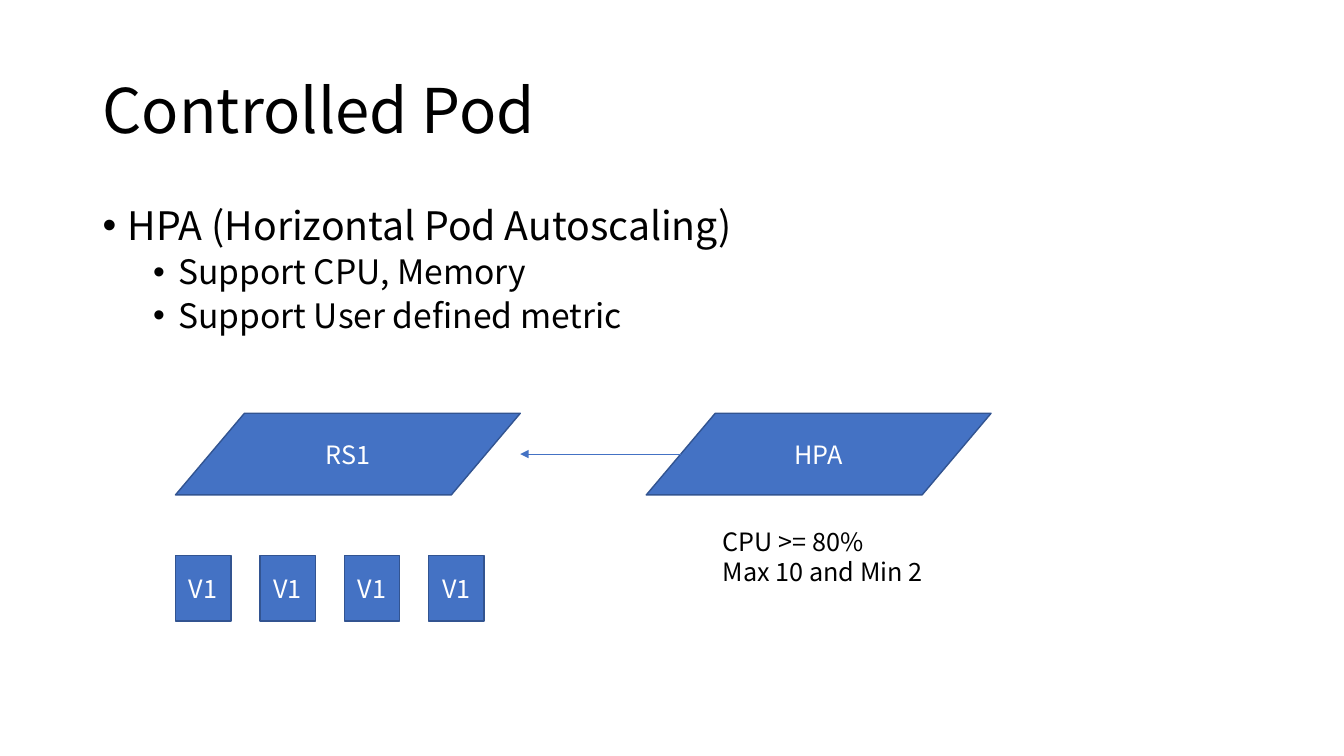
"""Build the Controlled Pod slide about horizontal pod autoscaling."""
import lxml.etree
import pptx
import pptx.dml.color
import pptx.enum.shapes
import pptx.enum.text
import pptx.oxml.ns
import pptx.util

Inches = pptx.util.Inches
Points = pptx.util.Pt
qualify = pptx.oxml.ns.qn
Kind = pptx.enum.shapes.MSO_SHAPE
Anchor = pptx.enum.text.MSO_ANCHOR
Align = pptx.enum.text.PP_ALIGN

BLACK = pptx.dml.color.RGBColor(0x00, 0x00, 0x00)
WHITE = pptx.dml.color.RGBColor(0xFF, 0xFF, 0xFF)
BLUE = pptx.dml.color.RGBColor(0x44, 0x72, 0xC4)
DARK_BLUE = pptx.dml.color.RGBColor(0x32, 0x54, 0x91)
FONT = "Noto Sans CJK SC"

MARGIN, CONTENT_WIDTH = 0.92, 11.5
DIAGRAM_LEFT, DIAGRAM_TOP = 1.74, 4.1
CONTROLLER_WIDTH, CONTROLLER_HEIGHT, CONTROLLER_STEP = 3.42, 0.81, 4.67
POD_TOP, POD_WIDTH, POD_HEIGHT, POD_STEP = 5.51, 0.55, 0.65, 0.837


def write(text, *, box, kind=None, size=18, color=BLACK, anchor=Anchor.TOP,
          align=Align.LEFT, spacing=1.0, levels=None):
    """Place text in a text box or a filled shape, with bullets if levels are given."""
    frame = [Inches(length) for length in box]
    if kind is None:
        shape = slide.shapes.add_textbox(*frame)
    else:
        shape = slide.shapes.add_shape(kind, *frame)
        shape.shadow.inherit = False
        shape.fill.solid()
        shape.fill.fore_color.rgb = BLUE
        shape.line.color.rgb = DARK_BLUE
        shape.line.width = Points(1)
    shape.text_frame.word_wrap = True
    shape.text_frame.vertical_anchor = anchor
    shape.text_frame.text = text
    for index, paragraph in enumerate(shape.text_frame.paragraphs):
        paragraph.alignment = align
        paragraph.line_spacing = spacing
        font = paragraph.runs[0].font
        font.name, font.size, font.color.rgb = FONT, Points(size), color
        if levels:
            level = levels[index]
            paragraph.level = level
            paragraph.space_before = Points(5 if level else 10)
            font.size = Points(size - 4 * level)
            properties = paragraph._p.get_or_add_pPr()
            properties.set("marL", str(Inches(0.25 + 0.5 * level)))
            properties.set("indent", str(Inches(-0.25)))
            bullet_font = lxml.etree.SubElement(properties, qualify("a:buFont"))
            bullet_font.set("typeface", "Arial")
            bullet = lxml.etree.SubElement(properties, qualify("a:buChar"))
            bullet.set("char", "•")
    return shape


presentation = pptx.Presentation()
presentation.slide_width = Inches(13.33)
presentation.slide_height = Inches(7.5)
slide = presentation.slides.add_slide(presentation.slide_layouts[6])

write("Controlled Pod", box=(MARGIN, 0.4, CONTENT_WIDTH, 1.45), size=44,
      anchor=Anchor.MIDDLE, spacing=0.9)
write("HPA (Horizontal Pod Autoscaling)\nSupport CPU, Memory\nSupport User defined metric",
      box=(MARGIN, 2, CONTENT_WIDTH, 4.76), size=28, spacing=0.9, levels=(0, 1, 1))

for column, name in enumerate(("RS1", "HPA")):
    write(name, kind=Kind.FLOWCHART_DATA, color=WHITE, anchor=Anchor.MIDDLE, align=Align.CENTER,
          box=(DIAGRAM_LEFT + column * CONTROLLER_STEP, DIAGRAM_TOP,
               CONTROLLER_WIDTH, CONTROLLER_HEIGHT))

arrow_height = Inches(DIAGRAM_TOP + CONTROLLER_HEIGHT / 2)
arrow = slide.shapes.add_connector(
    pptx.enum.shapes.MSO_CONNECTOR.STRAIGHT,
    Inches(DIAGRAM_LEFT + CONTROLLER_STEP + CONTROLLER_WIDTH / 10), arrow_height,
    Inches(DIAGRAM_LEFT + CONTROLLER_WIDTH), arrow_height)
arrow.line.color.rgb = BLUE
arrow.line.width = Points(0.5)
arrow_end = lxml.etree.SubElement(arrow.line._get_or_add_ln(), qualify("a:tailEnd"))
arrow_end.set("type", "triangle")
lxml.etree.SubElement(arrow._element.spPr, qualify("a:effectLst"))

write("CPU >= 80%\nMax 10 and Min 2", box=(7.07, 5.17, 3.95, 0.71))

for column in range(4):
    write("V1", kind=Kind.RECTANGLE, color=WHITE, anchor=Anchor.MIDDLE, align=Align.CENTER,
          box=(DIAGRAM_LEFT + column * POD_STEP, POD_TOP, POD_WIDTH, POD_HEIGHT))

presentation.save("out.pptx")
